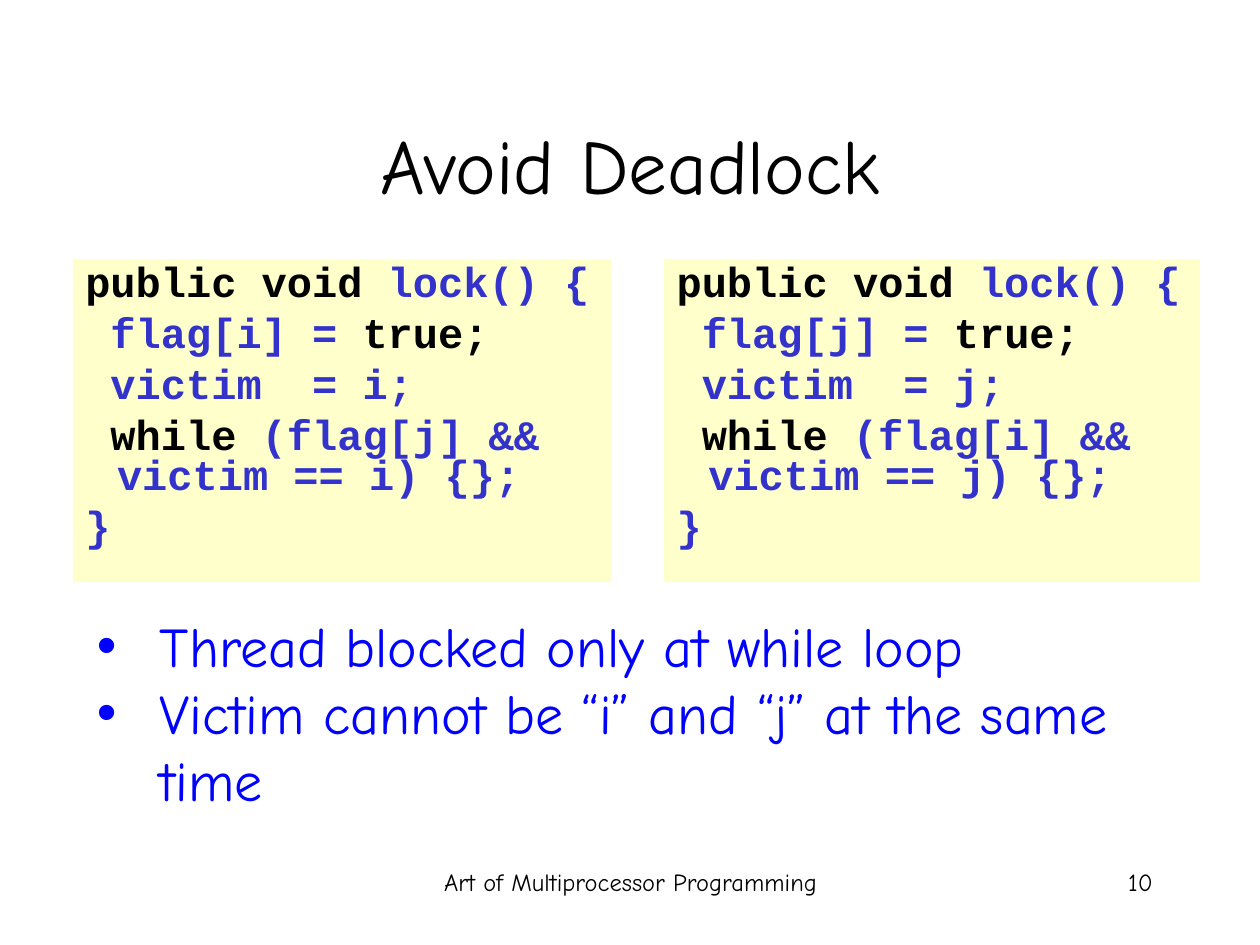
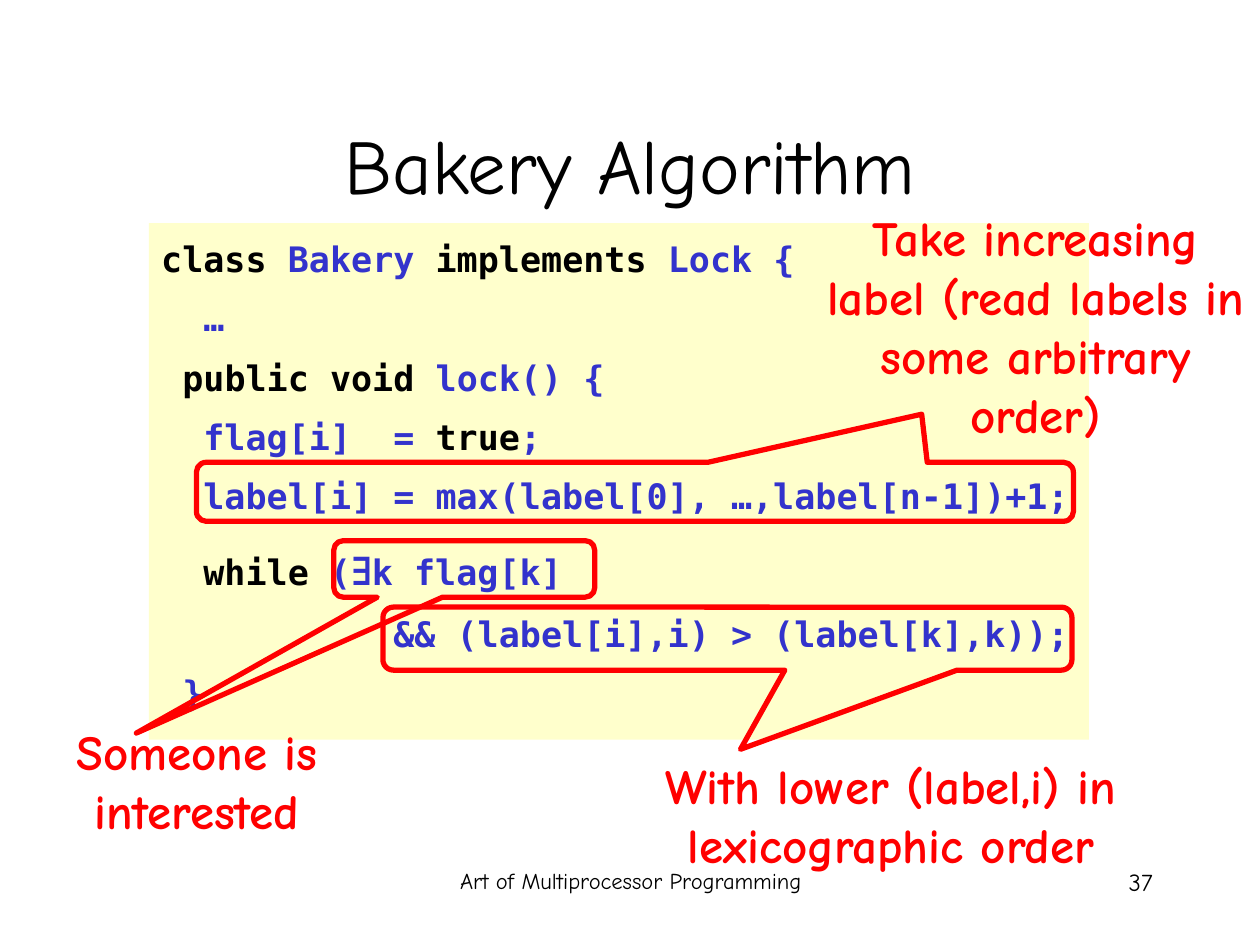
import dataclasses

import pptx
import pptx.dml.color
import pptx.enum.shapes
import pptx.enum.text
import pptx.util

Cm = pptx.util.Cm
RGB = pptx.dml.color.RGBColor.from_string
SHAPE = pptx.enum.shapes.MSO_SHAPE
ALIGN = pptx.enum.text.PP_ALIGN
ANCHOR = pptx.enum.text.MSO_ANCHOR


@dataclasses.dataclass(frozen=True)
class Theme:
    text: str = "000000"
    code: str = "3333CC"
    panel: str = "FFFFCC"
    bullet: str = "0000FF"
    note: str = "FF0000"
    font: str = "Comic Neue"
    title_size: float = 44
    list_size: float = 32
    note_size: float = 28
    footer_size: float = 14


theme = Theme()


def write(shape, text, size, color=theme.text, keyword=theme.text, font=theme.font,
          bold=False, align=ALIGN.LEFT, anchor=ANCHOR.TOP, spacing=None, before=0, hang=0):
    """Fill a shape with lines of text; pieces between bars take the keyword colour."""
    tf = shape.text_frame
    tf.word_wrap = True
    tf.auto_size = pptx.enum.text.MSO_AUTO_SIZE.NONE
    tf.vertical_anchor = anchor
    for i, line in enumerate(text.split("\n")):
        p = tf.add_paragraph() if i else tf.paragraphs[0]
        p.alignment = align
        p.line_spacing = spacing
        p.space_before = pptx.util.Pt(before if i else 0)
        if hang:
            pPr = p._p.get_or_add_pPr()
            pPr.set("marL", str(Cm(hang)))
            pPr.set("indent", str(-Cm(hang)))
        for k, piece in enumerate(line.split("|")):
            if not piece:
                continue
            r = p.add_run()
            r.text = piece
            r.font.name = font
            r.font.size = pptx.util.Pt(size)
            r.font.bold = bold
            r.font.color.rgb = RGB(keyword if k % 2 else color)
    return tf


def add_code(s, box, text, **fmt):
    """Add a pale panel of program code."""
    sp = s.shapes.add_shape(SHAPE.RECTANGLE, *map(Cm, box))
    sp.shadow.inherit = False
    sp.fill.solid()
    sp.fill.fore_color.rgb = RGB(theme.panel)
    sp.line.fill.background()
    return write(sp, text, color=theme.code, bold=True, hang=0.64, **fmt)


prs = pptx.Presentation()
prs.slide_width, prs.slide_height = Cm(25.4), Cm(19.05)

# Title, footer and number of every slide
slides = []
for layout, title, number, footer_size in (
    (1, "Avoid Deadlock", "10", theme.footer_size),
    (5, "Bakery Algorithm", "37", 12.9),
):
    s = prs.slides.add_slide(prs.slide_layouts[layout])
    slides.append(s)
    sp = s.shapes.title
    sp.left, sp.top, sp.width, sp.height = map(Cm, (1.91, 1.7, 21.59, 3.18))
    write(sp, title, theme.title_size, align=ALIGN.CENTER, anchor=ANCHOR.MIDDLE)
    for left, width, text, size, align in (
        (8.69, 8.05, "Art of Multiprocessor Programming", footer_size, ALIGN.CENTER),
        (18.21, 5.28, number, theme.footer_size, ALIGN.RIGHT),
    ):
        sp = s.shapes.add_textbox(Cm(left), Cm(17.35), Cm(width), Cm(1.27))
        write(sp, text, size, align=align)

deadlock, bakery = slides

# Avoid Deadlock: the same method for both threads
lock_code = """|public void |lock() {
 flag[ME] =| true;
 victim  = ME;
 |while |(flag[OTHER] && victim == ME) {};
}"""
for left, width, me, other in ((1.47, 10.85, "i", "j"), (13.39, 10.8, "j", "i")):
    add_code(deadlock, (left, 5.23, width, 6.5),
             lock_code.replace("ME", me).replace("OTHER", other),
             size=24, font="Courier New", spacing=0.8, before=6)

# Avoid Deadlock: conclusions
sp = deadlock.placeholders[1]
sp.left, sp.top, sp.width, sp.height = map(Cm, (1.7, 12.19, 22.25, 4.32))
write(sp, "Thread blocked only at while loop\n"
          "Victim cannot be “i” and “j” at the same time",
      theme.list_size, color=theme.bullet, hang=1.27)

# Bakery Algorithm: code, with the quantifier in a larger font
tf = add_code(bakery, (3, 4.5, 18.95, 10.41), """|class| Bakery |implements| Lock {
  …
 |public void| lock() {
  flag[i]  = |true|;
  label[i] = max(label[0], …,label[n-1])+1;
  |while| (|∃|k flag[k]
           && (label[i],i) > (label[k],k));
 }""", size=20, font="DejaVu Sans Mono", spacing=1.2, before=5)
for p in tf.paragraphs:
    for r in p.runs:
        if r.text == "∃":
            r.font.name = "Arial"
            r.font.size = pptx.util.Pt(28)
            r.font.color.rgb = RGB(theme.code)

# Bakery Algorithm: callouts and their notes
for frame, tip, note_box, note in (
    ((3.96, 9.32, 17.68, 1.19), (0.327, -1.315), (16.36, 4.06, 9.04, 5),
     "Take increasing label (read labels in some arbitrary order)"),
    ((6.73, 10.9, 5.26, 1.14), (-1.257, 2.903), (0.25, 14.43, 7.44, 2.64),
     "Someone is interested"),
    ((7.72, 12.24, 13.89, 1.27), (0.019, 1.757), (12.42, 15.11, 11.07, 2.64),
     "With lower (label,i) in lexicographic order"),
):
    sp = bakery.shapes.add_shape(SHAPE.ROUNDED_RECTANGULAR_CALLOUT, *map(Cm, frame))
    sp.shadow.inherit = False
    sp.fill.background()
    sp.line.color.rgb = RGB(theme.note)
    sp.line.width = pptx.util.Pt(3)
    sp.adjustments[0], sp.adjustments[1] = tip
    sp = bakery.shapes.add_textbox(*map(Cm, note_box))
    write(sp, note, theme.note_size, color=theme.note, bold=True, align=ALIGN.CENTER)

prs.save("out.pptx")
